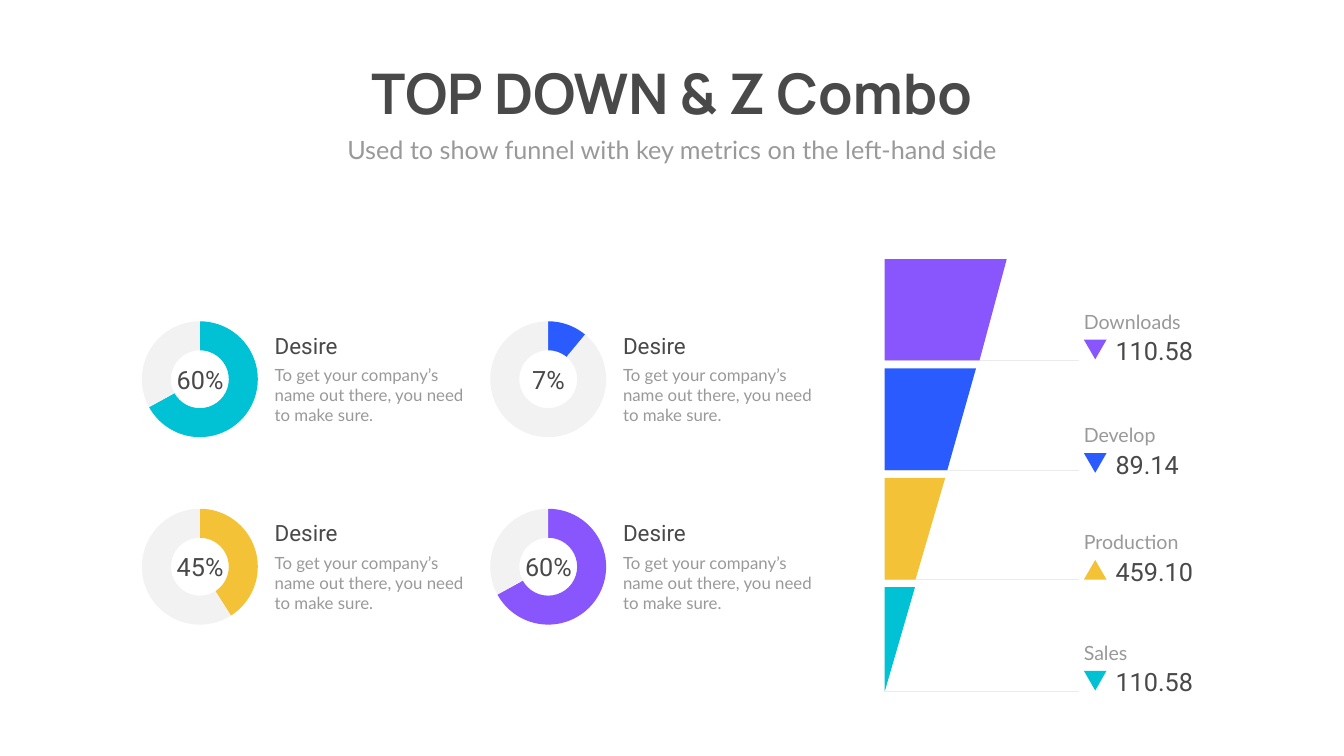
from lxml import etree
from pptx import Presentation
from pptx.chart.data import CategoryChartData
from pptx.dml.color import RGBColor
from pptx.enum.chart import XL_CHART_TYPE as ChartType
from pptx.enum.shapes import MSO_CONNECTOR as Connector, MSO_SHAPE as Shape
from pptx.enum.text import MSO_ANCHOR as Anchor, MSO_AUTO_SIZE as AutoSize, PP_ALIGN as Align
from pptx.oxml import parse_xml
from pptx.oxml.ns import nsdecls, qn
from pptx.util import Inches, Pt

DARK = RGBColor(0x49, 0x49, 0x49)
GREY = RGBColor(0x99, 0x99, 0x99)
PALE = RGBColor(0xF2, 0xF2, 0xF2)
RULE = RGBColor(0xEB, 0xEB, 0xEB)
TEAL = RGBColor(0x01, 0xC1, 0xD4)
YELLOW = RGBColor(0xF3, 0xC2, 0x36)
BLUE = RGBColor(0x2A, 0x5B, 0xFE)
PURPLE = RGBColor(0x89, 0x56, 0xFD)

presentation = Presentation()
presentation.slide_width = Inches(26.66)
presentation.slide_height = Inches(15)
slide = presentation.slides.add_slide(presentation.slide_layouts[5])
shapes = slide.shapes


def write(box, text, size, font, color, align=Align.LEFT, wrap=True):
    frame = box.text_frame
    frame.text = text
    frame.word_wrap = wrap
    frame.auto_size = AutoSize.NONE
    frame.vertical_anchor = Anchor.TOP
    paragraph = frame.paragraphs[0]
    paragraph.alignment = align
    run_font = paragraph.runs[0].font
    run_font.size, run_font.name, run_font.color.rgb = Pt(size), font, color
    return paragraph


def paint(shape, color):
    shape.shadow.inherit = False
    shape.fill.solid()
    shape.fill.fore_color.rgb = color
    shape.line.fill.background()


# Heading
title = shapes.title
title.left, title.top, title.width, title.height = map(Inches, (6.87, 1.12, 12.92, 1.45))
heading = write(title, "TOP DOWN & Z Combo", 80, "Manrope", DARK, Align.CENTER, wrap=False)
heading.runs[0].font.bold = True
subtitle = shapes.add_textbox(*map(Inches, (2.92, 2.61, 20.82, 0.71)))
write(subtitle, "Used to show funnel with key metrics on the left-hand side",
      36, "Lato", GREY, Align.CENTER)

# Two by two grid of doughnut metrics
GRID_LEFT, GRID_TOP = 2.59, 6.24
COLUMN, ROW = 6.91, 3.72
CHART_WIDTH, CHART_HEIGHT, RING = 2.75, 2.57, 2.3
metrics = [  # column, row, label, filled share, colour
    (0, 0, "60%", 67, TEAL),
    (0, 1, "45%", 41, YELLOW),
    (1, 0, "7%", 11, BLUE),
    (1, 1, "60%", 67, PURPLE),
]
for column, row, label, share, color in metrics:
    left, top = GRID_LEFT + column * COLUMN, GRID_TOP + row * ROW
    data = CategoryChartData()
    data.categories = ["1", "2"]
    data.add_series("Series 1", (share, 100 - share))
    chart = shapes.add_chart(ChartType.DOUGHNUT, Inches(left), Inches(top),
                             Inches(CHART_WIDTH), Inches(CHART_HEIGHT), data).chart
    chart.has_title = chart.has_legend = False
    chart.font.size, chart.font.name, chart.font.color.rgb = Pt(10), "Calibri", GREY
    plot = chart.plots[0]
    plot.vary_by_categories = True
    for index, fill_color in enumerate((color, PALE)):
        point = plot.series[0].points[index].format
        point.fill.solid()
        point.fill.fore_color.rgb = fill_color
        point.line.fill.background()

    # Hole size and a centred square plot area
    plot_area = chart.element.find(".//" + qn("c:plotArea"))
    plot_area.find(".//" + qn("c:holeSize")).set("val", "75")
    for old_layout in plot_area.findall(qn("c:layout")):
        plot_area.remove(old_layout)
    layout = parse_xml(f"<c:layout {nsdecls('c')}><c:manualLayout/></c:layout>")
    wide, high = RING / CHART_WIDTH, RING / CHART_HEIGHT
    for tag, value in (("layoutTarget", "inner"), ("xMode", "edge"), ("yMode", "edge"),
                       ("x", (1 - wide) / 2), ("y", (1 - high) / 2), ("w", wide), ("h", high)):
        etree.SubElement(layout[0], qn("c:" + tag)).set("val", str(value))
    plot_area.insert(0, layout)

    percent = shapes.add_textbox(*map(Inches, (left + 0.61, top + 0.93, 1.54, 0.71)))
    write(percent, label, 36, "Roboto", DARK, Align.CENTER)
    text_left = left + CHART_WIDTH + 0.01
    name = shapes.add_textbox(*map(Inches, (text_left, top + 0.3, 4.99, 0.64)))
    write(name, "Desire", 32, "Roboto", DARK)
    body = shapes.add_textbox(*map(Inches, (text_left, top + 0.95, 4.18, 1.31)))
    write(body, "To get your company’s name out there, you need to make sure.", 24, "Lato", GREY)

# Funnel, its rules and its figures
FUNNEL_LEFT, FUNNEL_TOP, STAGE_PITCH = 17.55, 5.14, 2.17
LABEL_LEFT = 21.4
stages = [  # name, value, colour, upper width, lower width, bottom, label top, arrow rotation
    ("Downloads", "110.58", PURPLE, 2.42, 1.88, 7.15, 5.99, 180),
    ("Develop", "89.14", BLUE, 1.81, 1.24, 9.33, 8.24, 180),
    ("Production", "459.10", YELLOW, 1.2, 0.61, 11.5, 10.36, 0),
    ("Sales", "110.58", TEAL, 0.6, 0, 13.72, 12.56, 180),
]
for index, (name, value, color, upper, lower, bottom, label_top, turn) in enumerate(stages):
    top = FUNNEL_TOP + index * STAGE_PITCH
    rule = shapes.add_connector(Connector.STRAIGHT, Inches(FUNNEL_LEFT), Inches(bottom),
                                Inches(LABEL_LEFT), Inches(bottom))
    rule.line.color.rgb = RULE
    rule.line.width = Pt(2)
    etree.SubElement(rule.element.spPr, qn("a:effectLst"))

    if lower:
        builder = shapes.build_freeform(Inches(FUNNEL_LEFT), Inches(top))
        builder.add_line_segments([(Inches(FUNNEL_LEFT + x), Inches(y)) for x, y in
                                   ((upper, top), (lower, bottom), (0, bottom))])
        stage = builder.convert_to_shape()
    else:
        length = bottom - top
        stage = shapes.add_shape(Shape.RIGHT_TRIANGLE,
                                 Inches(FUNNEL_LEFT + (upper - length) / 2),
                                 Inches(top + (length - upper) / 2),
                                 Inches(length), Inches(upper))
        stage.rotation = 90
    paint(stage, color)

    caption = shapes.add_textbox(*map(Inches, (LABEL_LEFT, label_top, 2.4, 0.62)))
    write(caption, name, 28, "Lato", GREY).line_spacing = Pt(40.8)
    figure = shapes.add_textbox(*map(Inches, (LABEL_LEFT + 0.63, label_top + 0.62, 2.04, 0.71)))
    write(figure, value, 36, "Roboto", DARK)
    arrow = shapes.add_shape(Shape.ISOSCELES_TRIANGLE,
                             *map(Inches, (LABEL_LEFT + 0.1, label_top + 0.75, 0.45, 0.39)))
    arrow.rotation = turn
    paint(arrow, color)

presentation.save("out.pptx")
